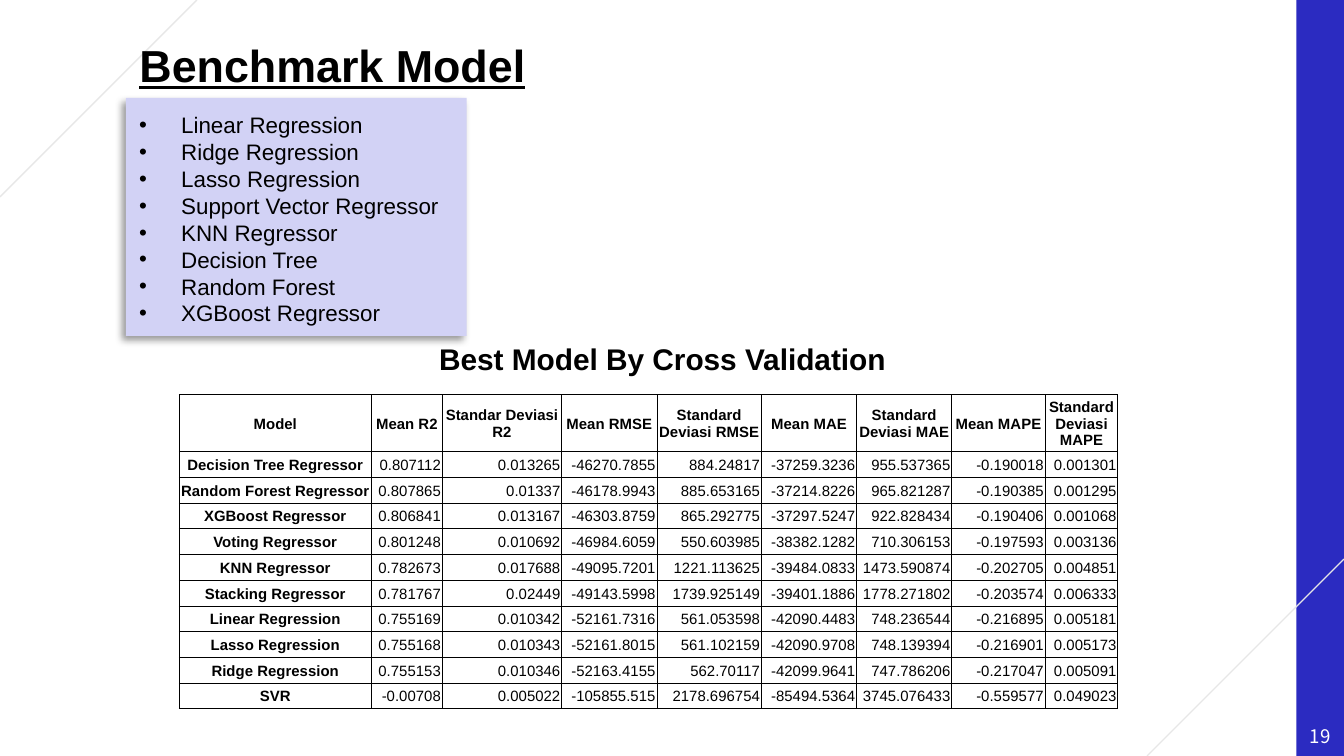
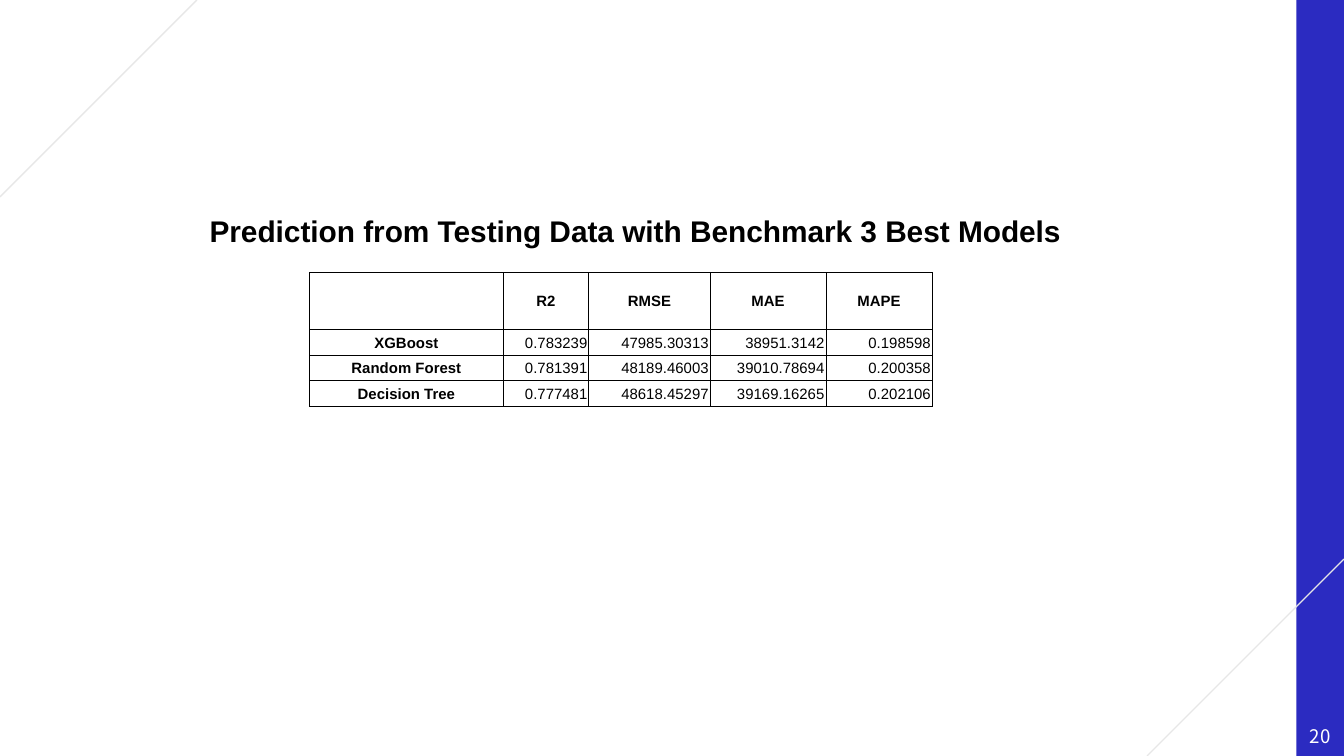
from lxml.etree import SubElement
from pptx import Presentation
from pptx.dml.color import RGBColor
from pptx.enum.shapes import MSO_CONNECTOR as Connector, MSO_SHAPE as Shape
from pptx.enum.text import MSO_ANCHOR as Anchor, MSO_AUTO_SIZE as AutoSize, PP_ALIGN as Align
from pptx.oxml.ns import qn
from pptx.util import Pt

WIDTH, HEIGHT = 720, 405
BAND_LEFT, BAND_WIDTH = 694.5, 25.5
DIAGONAL = 105.5
BLUE, LAVENDER, GREY, BLACK, WHITE = "2B2BC1", "D2D2F5", "E7E7E7", "000000", "FFFFFF"
HEADING_SIZE = (606, 45)
HEADER_HEIGHT, ROW_HEIGHT = 30.5, 13.8

TITLE = dict(name="Arial", size=Pt(24), bold=True, underline=True)
SUBTITLE = dict(name="Arial", size=Pt(16), bold=True)
BODY = dict(name="Arial", size=Pt(12))
LABEL = dict(name="Arial", size=Pt(8), bold=True)
VALUE = dict(name="Arial", size=Pt(8), bold=False)
NUMBER = dict(name="Noto Sans CJK KR", size=Pt(10))

MODELS = [
    "Linear Regression", "Ridge Regression", "Lasso Regression", "Support Vector Regressor",
    "KNN Regressor", "Decision Tree", "Random Forest", "XGBoost Regressor",
]

VALIDATION = [
    ("Model", "Mean R2", "Standar Deviasi R2", "Mean RMSE", "Standard Deviasi RMSE",
     "Mean MAE", "Standard Deviasi MAE", "Mean MAPE", "Standard Deviasi MAPE"),
    ("Decision Tree Regressor", "0.807112", "0.013265", "-46270.7855", "884.24817",
     "-37259.3236", "955.537365", "-0.190018", "0.001301"),
    ("Random Forest Regressor", "0.807865", "0.01337", "-46178.9943", "885.653165",
     "-37214.8226", "965.821287", "-0.190385", "0.001295"),
    ("XGBoost Regressor", "0.806841", "0.013167", "-46303.8759", "865.292775",
     "-37297.5247", "922.828434", "-0.190406", "0.001068"),
    ("Voting Regressor", "0.801248", "0.010692", "-46984.6059", "550.603985",
     "-38382.1282", "710.306153", "-0.197593", "0.003136"),
    ("KNN Regressor", "0.782673", "0.017688", "-49095.7201", "1221.113625",
     "-39484.0833", "1473.590874", "-0.202705", "0.004851"),
    ("Stacking Regressor", "0.781767", "0.02449", "-49143.5998", "1739.925149",
     "-39401.1886", "1778.271802", "-0.203574", "0.006333"),
    ("Linear Regression", "0.755169", "0.010342", "-52161.7316", "561.053598",
     "-42090.4483", "748.236544", "-0.216895", "0.005181"),
    ("Lasso Regression", "0.755168", "0.010343", "-52161.8015", "561.102159",
     "-42090.9708", "748.139394", "-0.216901", "0.005173"),
    ("Ridge Regression", "0.755153", "0.010346", "-52163.4155", "562.70117",
     "-42099.9641", "747.786206", "-0.217047", "0.005091"),
    ("SVR", "-0.00708", "0.005022", "-105855.515", "2178.696754",
     "-85494.5364", "3745.076433", "-0.559577", "0.049023"),
]
VALIDATION_WIDTHS = (103, 38, 64, 51, 56, 51, 51, 50, 39)

TESTING = [
    ("", "R2", "RMSE", "MAE", "MAPE"),
    ("XGBoost", "0.783239", "47985.30313", "38951.3142", "0.198598"),
    ("Random Forest", "0.781391", "48189.46003", "39010.78694", "0.200358"),
    ("Decision Tree", "0.777481", "48618.45297", "39169.16265", "0.202106"),
]
TESTING_WIDTHS = (103.5, 46, 65, 62, 57)


def color(value):
    return RGBColor.from_string(value)


def points(*values):
    return [Pt(value) for value in values]


def write(frame, lines, style, align, fill=BLACK, anchor=Anchor.TOP, margins=(7.2,) * 4):
    frame.word_wrap = True
    frame.auto_size = AutoSize.NONE
    frame.vertical_anchor = anchor
    for side, margin in zip(("left", "top", "right", "bottom"), margins):
        setattr(frame, f"margin_{side}", Pt(margin))
    for index, line in enumerate(lines):
        para = frame.add_paragraph() if index else frame.paragraphs[0]
        write_para(para, line, style, align, fill)


def write_para(para, line, style, align, fill=BLACK):
    para.alignment = align
    span = para.add_run()
    span.text = line
    for name, value in style.items():
        setattr(span.font, name, value)
    span.font.color.rgb = color(fill)


def add_block(page, place, fill):
    box = page.shapes.add_shape(Shape.RECTANGLE, *points(*place))
    box.shadow.inherit = False
    box.fill.solid()
    box.fill.fore_color.rgb = color(fill)
    box.line.fill.background()
    return box


def add_diagonal(page, ends):
    line = page.shapes.add_connector(Connector.STRAIGHT, *points(*ends))
    line.line.color.rgb = color(GREY)
    line.line.width = Pt(0.75)
    SubElement(line.element.spPr, qn("a:effectLst"))
    return line


def decorate_layout(layout, page):
    for holder in list(layout.placeholders)[1:]:
        layout.shapes.element.remove(holder.element)
    parts = [
        add_block(page, (BAND_LEFT, 0, BAND_WIDTH, HEIGHT), BLUE),
        add_diagonal(page, (0, DIAGONAL, DIAGONAL, 0)),
        add_diagonal(page, (WIDTH - DIAGONAL, HEIGHT, WIDTH, HEIGHT - DIAGONAL)),
    ]
    for part in parts:
        layout.shapes.element.append(part.element)


def set_title(page, text, left, top, style, align):
    title = page.shapes.title
    title.left, title.top, title.width, title.height = points(left, top, *HEADING_SIZE)
    write(title.text_frame, [text], style, align)


def add_text(page, place, text, style, **options):
    box = page.shapes.add_textbox(*points(*place))
    write(box.text_frame, [text], style, Align.CENTER, **options)


def add_number(page, number):
    place = (BAND_LEFT, HEIGHT - 21, BAND_WIDTH, 21)
    add_text(page, place, str(number), NUMBER, fill=WHITE, anchor=Anchor.MIDDLE, margins=(0,) * 4)


def add_bullets(page, place, lines):
    box = add_block(page, place, LAVENDER)
    write(box.text_frame, lines, BODY, Align.JUSTIFY)
    for para in box.text_frame.paragraphs:
        para.line_spacing = Pt(14.4)
        props = para._p.get_or_add_pPr()
        props.set("marL", str(Pt(22.5)))
        props.set("indent", str(-Pt(22.5)))
        tint = SubElement(props, qn("a:buClr"))
        SubElement(tint, qn("a:srgbClr"), val=BLACK)
        SubElement(props, qn("a:buFont"), typeface="Arial")
        SubElement(props, qn("a:buChar"), char="•")
    effects = box.element.spPr.find(qn("a:effectLst"))
    shadow = SubElement(effects, qn("a:outerShdw"), blurRad=str(Pt(4)), dist=str(Pt(3)),
                        dir=str(135 * 60000), algn="tr", rotWithShape="0")
    tint = SubElement(shadow, qn("a:srgbClr"), val=BLACK)
    SubElement(tint, qn("a:alpha"), val="40000")


def add_borders(cell):
    props = cell._tc.get_or_add_tcPr()
    for side in "LRTB":
        edge = SubElement(props, qn(f"a:ln{side}"), w=str(Pt(0.5)))
        fill = SubElement(edge, qn("a:solidFill"))
        SubElement(fill, qn("a:srgbClr"), val=BLACK)


def add_grid(page, left, top, rows, widths):
    heights = [HEADER_HEIGHT] + [ROW_HEIGHT] * (len(rows) - 1)
    place = points(left, top, sum(widths), sum(heights))
    table = page.shapes.add_table(len(rows), len(widths), *place).table
    table.first_row = table.horz_banding = False
    for column, width in zip(table.columns, widths):
        column.width = Pt(width)
    for r, (row, height) in enumerate(zip(rows, heights)):
        table.rows[r].height = Pt(height)
        for c, text in enumerate(row):
            cell = table.cell(r, c)
            add_borders(cell)
            cell.fill.background()
            cell.vertical_anchor = Anchor.MIDDLE
            cell.margin_left = cell.margin_top = cell.margin_right = Pt(0.75)
            cell.margin_bottom = 0
            is_label = r == 0 or c == 0
            if text:
                write_para(cell.text_frame.paragraphs[0], text,
                           LABEL if is_label else VALUE,
                           Align.CENTER if is_label else Align.RIGHT)


def main():
    deck = Presentation()
    deck.slide_width, deck.slide_height = points(WIDTH, HEIGHT)
    layout = deck.slide_layouts[5]

    benchmark = deck.slides.add_slide(layout)
    decorate_layout(layout, benchmark)
    set_title(benchmark, "Benchmark Model", 67.5, 13, TITLE, Align.LEFT)
    add_number(benchmark, 19)
    add_bullets(benchmark, (67.5, 52.5, 182.5, 127.5), MODELS)
    add_grid(benchmark, 96, 211.5, VALIDATION, VALIDATION_WIDTHS)
    add_text(benchmark, (52, 175.5, *HEADING_SIZE), "Best Model By Cross Validation", SUBTITLE)

    prediction = deck.slides.add_slide(layout)
    set_title(prediction, "Prediction from Testing Data with Benchmark 3 Best Models",
              37.5, 106.5, SUBTITLE, Align.CENTER)
    add_number(prediction, 20)
    add_grid(prediction, 166, 146, TESTING, TESTING_WIDTHS)

    deck.save("out.pptx")


if __name__ == "__main__":
    main()
